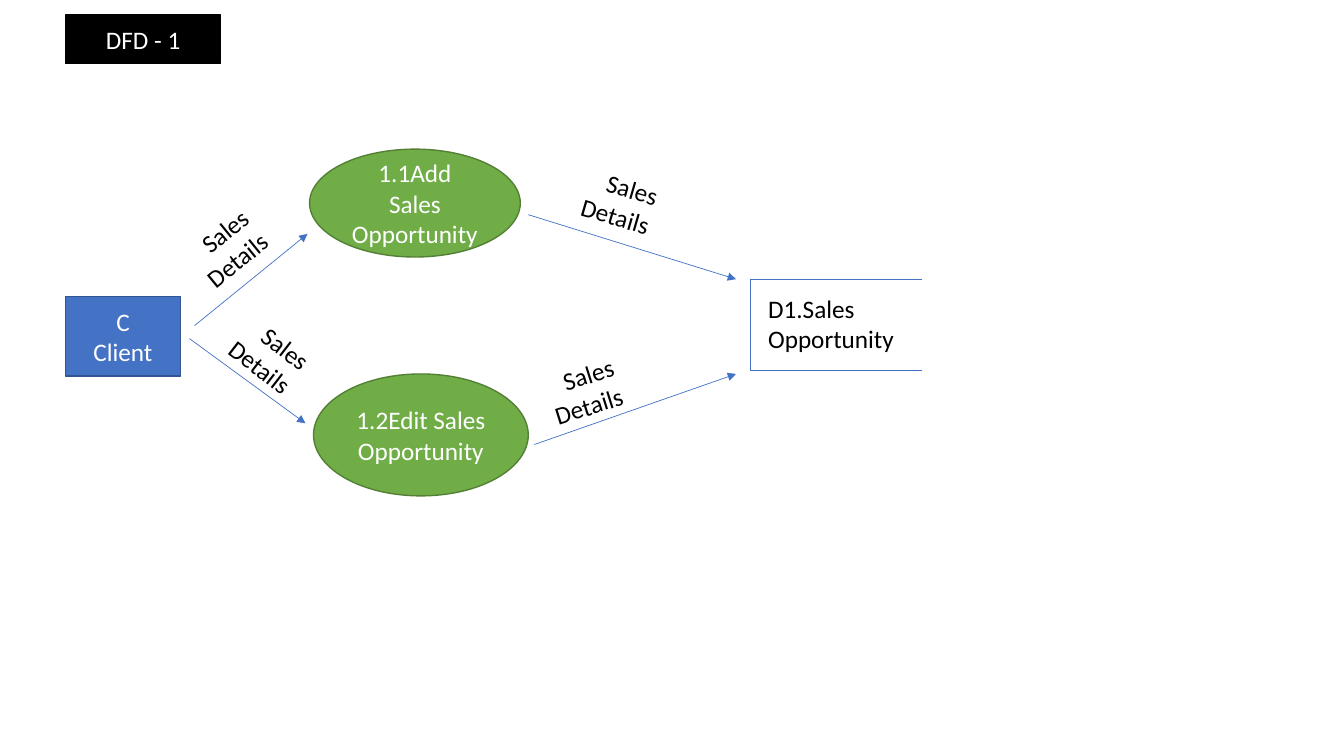
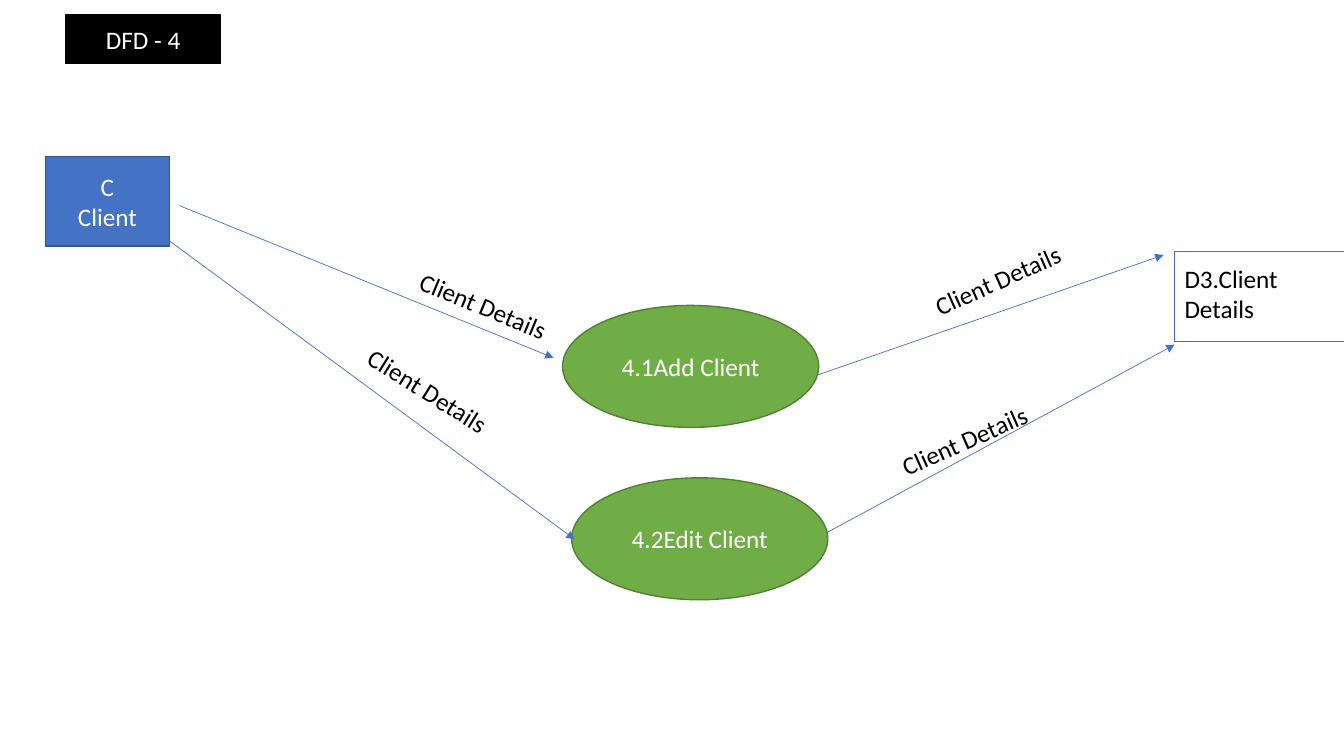
import dataclasses

import lxml.etree
import pptx
import pptx.dml.color
import pptx.enum.shapes
import pptx.enum.text
import pptx.oxml.ns
import pptx.util

PX = 9144  # EMU in one px, 100 px to the inch
SHAPE = pptx.enum.shapes.MSO_SHAPE
ALIGN = pptx.enum.text.PP_ALIGN
ANCHOR = pptx.enum.text.MSO_ANCHOR


def px(*lengths):
    return [pptx.util.Emu(length * PX) for length in lengths]


@dataclasses.dataclass(frozen=True)
class Theme:
    font: str = "Calibri"
    size: int = 18
    outline: float = 1
    flow_line: float = 0.5
    dark: str = "000000"
    light: str = "FFFFFF"
    entity: str = "4472C4"
    entity_edge: str = "325491"
    process: str = "70AD47"
    process_edge: str = "538035"


class Diagram:
    """Draws data flow diagrams, one to a slide."""

    def __init__(self, theme):
        self.theme = theme
        self.deck = pptx.Presentation()
        self.deck.slide_width, self.deck.slide_height = px(1333, 750)
        self.slide = None

    def new_slide(self, title):
        self.slide = self.deck.slides.add_slide(self.deck.slide_layouts[6])
        self.node(SHAPE.RECTANGLE, (65, 15, 154, 48), [title], self.theme.dark, self.theme.dark)

    def add_lines(self, frame, lines, color, align):
        frame.word_wrap = True
        for index, line in enumerate(lines):
            paragraph = frame.add_paragraph() if index else frame.paragraphs[0]
            paragraph.alignment = align
            run = paragraph.add_run()
            run.text = line
            run.font.name = self.theme.font
            run.font.size = pptx.util.Pt(self.theme.size)
            run.font.color.rgb = pptx.dml.color.RGBColor.from_string(color)

    def node(self, kind, box, lines, fill, edge):
        node = self.slide.shapes.add_shape(kind, *px(*box))
        node.shadow.inherit = False
        node.fill.solid()
        node.fill.fore_color.rgb = pptx.dml.color.RGBColor.from_string(fill)
        node.line.color.rgb = pptx.dml.color.RGBColor.from_string(edge)
        node.line.width = pptx.util.Pt(self.theme.outline)
        node.text_frame.vertical_anchor = ANCHOR.MIDDLE
        self.add_lines(node.text_frame, lines, self.theme.light, ALIGN.CENTER)

    def entity(self, box, lines):
        self.node(SHAPE.RECTANGLE, box, lines, self.theme.entity, self.theme.entity_edge)

    def process(self, box, name):
        self.node(SHAPE.OVAL, box, [name], self.theme.process, self.theme.process_edge)

    def text(self, box, words, align=ALIGN.LEFT, angle=0):
        text_box = self.slide.shapes.add_textbox(*px(*box))
        text_box.rotation = angle
        self.add_lines(text_box.text_frame, [words], self.theme.dark, align)
        text_box.text_frame.auto_size = pptx.enum.text.MSO_AUTO_SIZE.SHAPE_TO_FIT_TEXT

    def line(self, start, end):
        line = self.slide.shapes.add_connector(
            pptx.enum.shapes.MSO_CONNECTOR.STRAIGHT, *px(*start, *end))
        line.line.color.rgb = pptx.dml.color.RGBColor.from_string(self.theme.entity)
        line.line.width = pptx.util.Pt(self.theme.flow_line)
        lxml.etree.SubElement(line.element.spPr, pptx.oxml.ns.qn("a:effectLst"))
        return line

    def flow(self, start, end, words, label_box, angle):
        """Arrow from start to end with a tilted label beside it."""
        arrow = self.line(start, end)
        outline = arrow.element.spPr.get_or_add_ln()
        head = lxml.etree.SubElement(outline, pptx.oxml.ns.qn("a:tailEnd"))
        head.set("type", "triangle")
        self.text(label_box, words, ALIGN.RIGHT, angle)

    def store(self, left, top, name, name_box):
        """Data store: a box left open on its right side."""
        right, bottom = left + 170, top + 90
        self.line((right, top), (left, top))
        self.line((left, bottom), (left, top))
        self.line((right, bottom), (left, bottom))
        self.text(name_box, name)


def sales_slide(diagram):
    diagram.new_slide("DFD - 1")
    diagram.entity((65, 294, 114, 79), ["C", "Client"])
    diagram.process((307, 148, 209, 107), "1.1Add Sales Opportunity")
    diagram.process((311, 371, 213, 121), "1.2Edit Sales Opportunity")
    diagram.store(744, 277, "D1.Sales Opportunity", (752, 286, 165, 71))
    for start, end, label_at, angle in [
        ((193, 323), (305, 232), (133, 228), -39.1),
        ((188, 336), (303, 420), (174, 300), 37.7),
        ((524, 213), (730, 277), (517, 157), 16.3),
        ((530, 441), (730, 371), (482, 361), -17.6),
    ]:
        diagram.flow(start, end, "Sales Details", (*label_at, 143, 71), angle)


def client_slide(diagram):
    diagram.new_slide("DFD - 4")
    diagram.entity((45, 155, 123, 89), ["C", "Client"])
    diagram.process((558, 303, 254, 121), "4.1Add Client")
    diagram.process((567, 474, 254, 121), "4.2Edit Client")
    diagram.store(1165, 249, "D3.Client Details", (1165, 256, 123, 71))
    for start, end, label_at, angle in [
        ((178, 204), (549, 355), (397, 282), 22.6),
        ((168, 239), (570, 535), (342, 366), 31.9),
        ((811, 372), (1154, 253), (907, 259), -24),
        ((819, 529), (1165, 342), (874, 418), -24),
    ]:
        diagram.flow(start, end, "Client Details", (*label_at, 159, 40), angle)


def main():
    diagram = Diagram(Theme())
    sales_slide(diagram)
    client_slide(diagram)
    diagram.deck.save("out.pptx")


if __name__ == "__main__":
    main()
